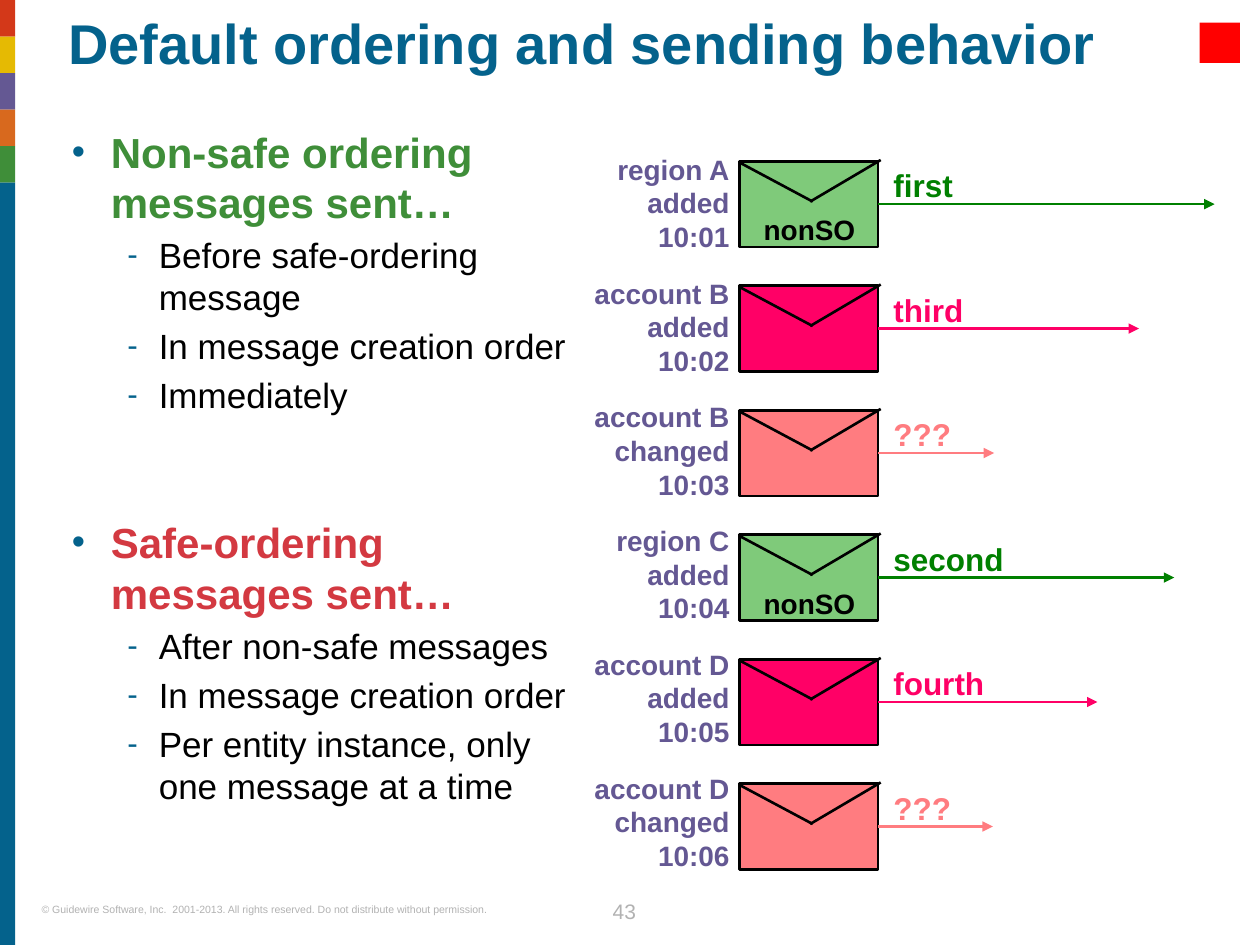
from typing import NamedTuple

from lxml import etree
from pptx import Presentation
from pptx.dml.color import RGBColor
from pptx.enum.shapes import MSO_CONNECTOR, MSO_SHAPE
from pptx.enum.text import MSO_ANCHOR, MSO_AUTO_SIZE, PP_ALIGN
from pptx.oxml.ns import qn
from pptx.util import Inches, Pt

RECT = MSO_SHAPE.RECTANGLE
LINE = MSO_CONNECTOR.STRAIGHT
TOP = MSO_ANCHOR.TOP
FIXED = MSO_AUTO_SIZE.NONE
LEFT, MID, RIGHT = PP_ALIGN.LEFT, PP_ALIGN.CENTER, PP_ALIGN.RIGHT

FONT = "Arial"
BLUE, VIOLET, GREY, BLACK = "04628C", "645893", "B2B2B2", "000000"
GREEN, PINK, ROSE, MINT = "008000", "FF0066", "FF7C80", "7FCA7A"
ENV_X, ENV_W, ENV_H = 5.87, 1.1, 0.68


class Mail(NamedTuple):
    label: str
    fill: str
    order: str
    color: str
    tip: float
    tag: str = ""


class Topic(NamedTuple):
    head: str
    color: str
    gap: float
    points: tuple[str, ...]


class Band(NamedTuple):
    color: str
    top: float
    height: float


MAILS = (
    Mail("region A\nadded\n10:01", MINT, "first", GREEN, 9.64, "nonSO"),
    Mail("account B\nadded\n10:02", PINK, "third", PINK, 9.04),
    Mail("account B\nchanged\n10:03", ROSE, "???", ROSE, 7.89),
    Mail("region C\nadded\n10:04", MINT, "second", GREEN, 9.32, "nonSO"),
    Mail("account D\nadded\n10:05", PINK, "fourth", PINK, 8.71),
    Mail("account D\nchanged\n10:06", ROSE, "???", ROSE, 7.88),
)

TOPICS = (
    Topic("Non-safe ordering messages sent…", "3F8E39", 0,
          ("Before safe-ordering message", "In message creation order",
           "Immediately")),
    Topic("Safe-ordering messages sent…", "D33941", 57.6,
          ("After non-safe messages", "In message creation order",
           "Per entity instance, only one message at a time")),
)

TABS = ("D33819", "E5BA03", VIOLET, "D8691E", "3F8E39")
BANDS = [Band(color, 0.29 * i, 0.29) for i, color in enumerate(TABS)]
BANDS.append(Band(BLUE, 1.45, 6.05))


def rgb(code: str) -> RGBColor:
    return RGBColor.from_string(code)


def place(shape, x: float, y: float, w: float, h: float) -> None:
    shape.left, shape.top = Inches(x), Inches(y)
    shape.width, shape.height = Inches(w), Inches(h)


def style(para, text: str, size: float, color: str, bold=False,
          align=LEFT, space=None) -> None:
    para.text = text
    para.alignment = align
    if space is not None:
        para.line_spacing = space
    font = para.font
    font.name, font.size, font.bold = FONT, Pt(size), bold
    font.color.rgb = rgb(color)


def trim(frame) -> None:
    """Drop the margins and pin the text to the top of its box."""
    frame.margin_left = frame.margin_right = 0
    frame.margin_top = frame.margin_bottom = 0
    frame.word_wrap = True
    frame.auto_size = FIXED
    frame.vertical_anchor = TOP


def write(slide, text: str, x: float, y: float, w: float, h: float,
          **kind) -> None:
    box = slide.shapes.add_textbox(Inches(x), Inches(y), Inches(w), Inches(h))
    trim(box.text_frame)
    style(box.text_frame.paragraphs[0], text, **kind)


def block(slide, x: float, y: float, w: float, h: float, fill: str,
          edge: str = ""):
    shape = slide.shapes.add_shape(
        RECT, Inches(x), Inches(y), Inches(w), Inches(h))
    shape.shadow.inherit = False
    shape.fill.solid()
    shape.fill.fore_color.rgb = rgb(fill)
    if edge:
        shape.line.color.rgb = rgb(edge)
        shape.line.width = Pt(1.5)
    else:
        shape.line.fill.background()
    return shape


def stroke(slide, x1: float, y1: float, x2: float, y2: float, color: str,
           arrow=False):
    line = slide.shapes.add_connector(
        LINE, Inches(x1), Inches(y1), Inches(x2), Inches(y2))
    line.line.color.rgb = rgb(color)
    line.line.width = Pt(1.5)
    if arrow:
        etree.SubElement(line.line._ln, qn("a:tailEnd"), type="triangle")
    etree.SubElement(line._element.spPr, qn("a:effectLst"))
    return line


def bullet(para, char: str, margin: float, hang: float) -> None:
    props = para._p.get_or_add_pPr()
    props.set("marL", str(Inches(margin)))
    props.set("indent", str(-Inches(hang)))
    tint = etree.SubElement(props, qn("a:buClr"))
    etree.SubElement(tint, qn("a:srgbClr"), val=BLUE)
    etree.SubElement(props, qn("a:buSzPct"), val="90000")
    etree.SubElement(props, qn("a:buFont"), typeface=FONT)
    etree.SubElement(props, qn("a:buChar"), char=char)


def fill_list(frame) -> None:
    trim(frame)
    para = frame.paragraphs[0]
    for topic in TOPICS:
        if topic is not TOPICS[0]:
            para = frame.add_paragraph()
        bullet(para, "•", 0.31, 0.31)
        style(para, topic.head, 24, topic.color, bold=True)
        para.space_before = Pt(topic.gap)
        for point in topic.points:
            para = frame.add_paragraph()
            para.level = 1
            bullet(para, "-", 0.69, 0.25)
            style(para, point, 20, BLACK)
            para.space_before = Pt(4)


def draw_mail(slide, mail: Mail, y: float, text_y: float) -> None:
    """Draw one envelope with its label, flap and sending arrow."""
    write(slide, mail.label, 4.69, text_y, 1.1, 0.8, size=16, color=VIOLET,
          bold=True, align=RIGHT)
    env = block(slide, ENV_X, y, ENV_W, ENV_H, mail.fill, BLACK)
    stroke(slide, 6.45, y + 0.32, ENV_X, y + 0.01, BLACK)
    stroke(slide, 6.43, y + 0.32, 6.99, y - 0.01, BLACK)
    mid = y + ENV_H / 2
    arrow = stroke(slide, ENV_X + ENV_W, mid, mail.tip, mid, mail.color, True)
    arrow.begin_connect(env, 3)
    write(slide, mail.order, 7.09, mid - 0.3, 1.02, 0.3, size=18,
          color=mail.color, bold=True)
    if mail.tag:
        write(slide, mail.tag, 5.91, y + 0.41, 1.03, 0.27, size=16,
              color=BLACK, bold=True, align=MID)


def main() -> None:
    deck = Presentation()
    deck.slide_width, deck.slide_height = Inches(10), Inches(7.5)
    slide = deck.slides.add_slide(deck.slide_layouts[1])

    title, body = slide.placeholders
    place(title, 0.54, 0.13, 9.1, 0.81)
    trim(title.text_frame)
    style(title.text_frame.paragraphs[0],
          "Default ordering and sending behavior", 32, BLUE, bold=True,
          space=0.9)
    place(body, 0.57, 1, 3.93, 5.99)
    fill_list(body.text_frame)

    for band in BANDS:
        block(slide, 0, band.top, 0.12, band.height, band.color)
    block(slide, 9.52, 0.18, 0.32, 0.32, "FF0000")

    last = len(MAILS) - 1
    for i, mail in enumerate(MAILS):
        draw_mail(slide, mail, 1.28 + 4.94 * i / last, 1.21 + 4.91 * i / last)

    write(slide, "© Guidewire Software, Inc.  2001-2013. All rights reserved. "
          "Do not distribute without permission.", 0.33, 7.17, 4.02, 0.1,
          size=6, color=GREY)
    write(slide, "43", 4.67, 7.08, 0.57, 0.25, size=12, color=GREY,
          align=MID, space=Pt(18))
    deck.save("out.pptx")


if __name__ == "__main__":
    main()
